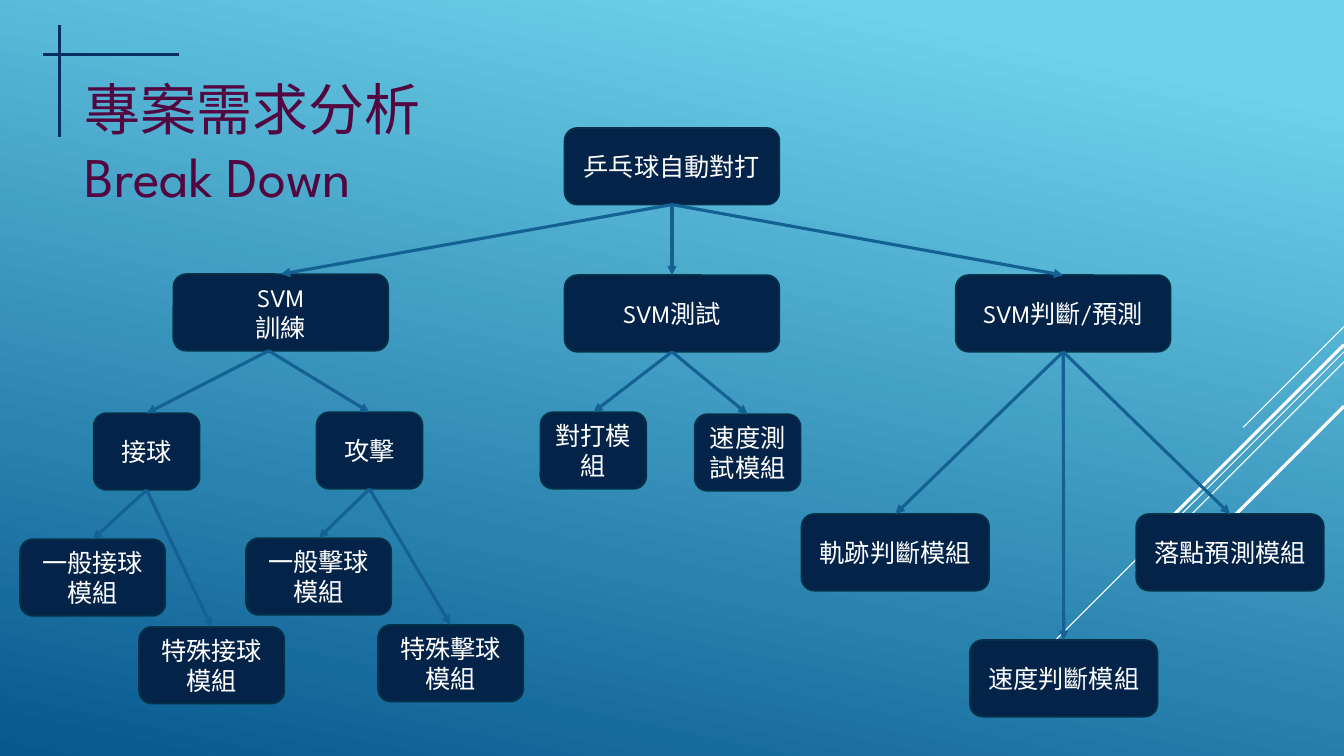
"""Build the slide that breaks the table tennis project down into modules."""
from dataclasses import dataclass

import lxml.etree
import pptx
import pptx.dml.color
import pptx.enum.shapes
import pptx.enum.text
import pptx.oxml.ns
import pptx.shapes.autoshape
import pptx.shapes.connector
import pptx.slide
import pptx.text.text
import pptx.util

COLUMNS, ROWS = 133.3, 75
CELL = pptx.util.Inches(0.1)
FONT = "League Spartan"
COLORS = {
    "sky": "6ED2EB",
    "sea": "06588E",
    "module": "042349",
    "module_edge": "043148",
    "module_text": "FFFFFF",
    "arrow": "146194",
    "ray": "FFFFFF",
    "cross": "052F61",
    "title": "520741",
}


@dataclass(frozen=True)
class Module:
    """A box of the tree, placed in grid columns and rows."""
    lines: tuple[str, ...]
    left: float
    top: float
    width: float
    children: tuple["Module", ...] = ()
    exit_shift: float = 0
    height: float = 7.6


@dataclass(frozen=True)
class Stroke:
    """A straight decorative line between two grid points."""
    start: tuple[float, float]
    end: tuple[float, float]
    color: str
    weight: float


WIDE, SMALL, MIDDLE, LONG = 21.3, 10.5, 14.4, 18.6

TRAINING = Module(("SVM", "訓練"), 17.2, 27.2, WIDE, (
    Module(("接球",), 9.3, 41, SMALL, (
        Module(("一般接球模組",), 2, 53.5, MIDDLE),
        Module(("特殊接球模組",), 13.8, 62.2, MIDDLE),
    )),
    Module(("攻擊",), 31.4, 40.9, SMALL, (
        Module(("一般擊球模組",), 24.4, 53.4, MIDDLE),
        Module(("特殊擊球模組",), 37.5, 62, MIDDLE),
    )),
), exit_shift=-1.2)
TESTING = Module(("SVM測試",), 56, 27.3, WIDE, (
    Module(("對打模組",), 53.6, 40.9, SMALL),
    Module(("速度測試模組",), 68.9, 41.1, SMALL),
))
PREDICTION = Module(("SVM判斷/預測",), 94.8, 27.3, WIDE, (
    Module(("軌跡判斷模組",), 79.5, 51, LONG),
    Module(("落點預測模組",), 112.7, 51, LONG),
    Module(("速度判斷模組",), 96.2, 63.5, LONG),
))
PROJECT = Module(("乒乓球自動對打",), 56, 12.7, WIDE, (TRAINING, TESTING, PREDICTION))

RAYS = [
    Stroke((COLUMNS, top), (COLUMNS - run, top + run), "ray", weight)
    for top, run, weight in (
        (32.4, 10, 0.75), (34.9, 32.6, 0.75), (35.9, 20.7, 0.75),
        (34.2, 19.1, 2.25), (40.3, 13.9, 2.25),
    )
]
CROSS = [
    Stroke((4.3, 5.4), (17.8, 5.4), "cross", 2.25),
    Stroke((5.9, 2.5), (5.9, 13.6), "cross", 2.25),
]


def cells(count: float) -> pptx.util.Emu:
    return pptx.util.Emu(round(count * CELL))


def rgb(name: str) -> pptx.dml.color.RGBColor:
    return pptx.dml.color.RGBColor.from_string(COLORS[name])


def write_lines(frame: pptx.text.text.TextFrame, lines: tuple[str, ...], size: float,
                color: str, alignment: pptx.enum.text.PP_ALIGN) -> None:
    for index, line in enumerate(lines):
        paragraph = frame.add_paragraph() if index else frame.paragraphs[0]
        paragraph.alignment = alignment
        run = paragraph.add_run()
        run.text = line
        run.font.name = FONT
        run.font.size = pptx.util.Pt(size)
        run.font.color.rgb = rgb(color)


def draw_stroke(slide: pptx.slide.Slide, stroke: Stroke) -> pptx.shapes.connector.Connector:
    line = slide.shapes.add_connector(
        pptx.enum.shapes.MSO_CONNECTOR.STRAIGHT,
        *map(cells, stroke.start + stroke.end))
    line.line.color.rgb = rgb(stroke.color)
    line.line.width = pptx.util.Pt(stroke.weight)
    lxml.etree.SubElement(line.element.spPr, pptx.oxml.ns.qn("a:effectLst"))
    return line


def draw_modules(slide: pptx.slide.Slide, module: Module,
                 boxes: dict[Module, pptx.shapes.autoshape.Shape]) -> None:
    box = slide.shapes.add_shape(
        pptx.enum.shapes.MSO_SHAPE.ROUNDED_RECTANGLE,
        *map(cells, (module.left, module.top, module.width, module.height)))
    box.shadow.inherit = False
    box.fill.solid()
    box.fill.fore_color.rgb = rgb("module")
    box.line.color.rgb = rgb("module_edge")
    box.line.width = pptx.util.Pt(1.25)
    box.text_frame.word_wrap = True
    box.text_frame.vertical_anchor = pptx.enum.text.MSO_ANCHOR.MIDDLE
    write_lines(box.text_frame, module.lines, 18, "module_text",
                pptx.enum.text.PP_ALIGN.CENTER)
    boxes[module] = box
    for child in module.children:
        draw_modules(slide, child, boxes)


def draw_arrows(slide: pptx.slide.Slide, module: Module,
                boxes: dict[Module, pptx.shapes.autoshape.Shape]) -> None:
    start = (module.left + module.width / 2 + module.exit_shift, module.top + module.height)
    for child in module.children:
        end = (child.left + child.width / 2, child.top)
        arrow = draw_stroke(slide, Stroke(start, end, "arrow", 2.25))
        outline = arrow.element.spPr.find(pptx.oxml.ns.qn("a:ln"))
        lxml.etree.SubElement(outline, pptx.oxml.ns.qn("a:tailEnd"), type="triangle")
        if not module.exit_shift:
            arrow.begin_connect(boxes[module], 2)
        arrow.end_connect(boxes[child], 0)
        draw_arrows(slide, child, boxes)


def paint_background(slide: pptx.slide.Slide) -> None:
    backdrop = slide.background.fill
    backdrop.gradient()
    backdrop.gradient_angle = 258
    for stop, color, position in zip(backdrop.gradient_stops, ("sky", "sea"), (0.1, 1)):
        stop.color.rgb = rgb(color)
        stop.position = position


def write_title(slide: pptx.slide.Slide) -> None:
    title = slide.shapes.title
    title.left, title.top, title.width, title.height = map(cells, (7.4, 6.9, 35.7, 21.2))
    frame = title.text_frame
    frame.word_wrap = False
    frame.auto_size = pptx.enum.text.MSO_AUTO_SIZE.NONE
    frame.vertical_anchor = pptx.enum.text.MSO_ANCHOR.TOP
    write_lines(frame, ("專案需求分析", "Break Down"), 40, "title",
                pptx.enum.text.PP_ALIGN.LEFT)


def main() -> None:
    deck = pptx.Presentation()
    deck.slide_width, deck.slide_height = cells(COLUMNS), cells(ROWS)
    slide = deck.slides.add_slide(deck.slide_layouts[5])
    paint_background(slide)
    write_title(slide)
    for ray in RAYS:
        draw_stroke(slide, ray)
    boxes: dict[Module, pptx.shapes.autoshape.Shape] = {}
    draw_modules(slide, PROJECT, boxes)
    draw_arrows(slide, PROJECT, boxes)
    for bar in CROSS:
        draw_stroke(slide, bar)
    deck.save("out.pptx")


if __name__ == "__main__":
    main()
